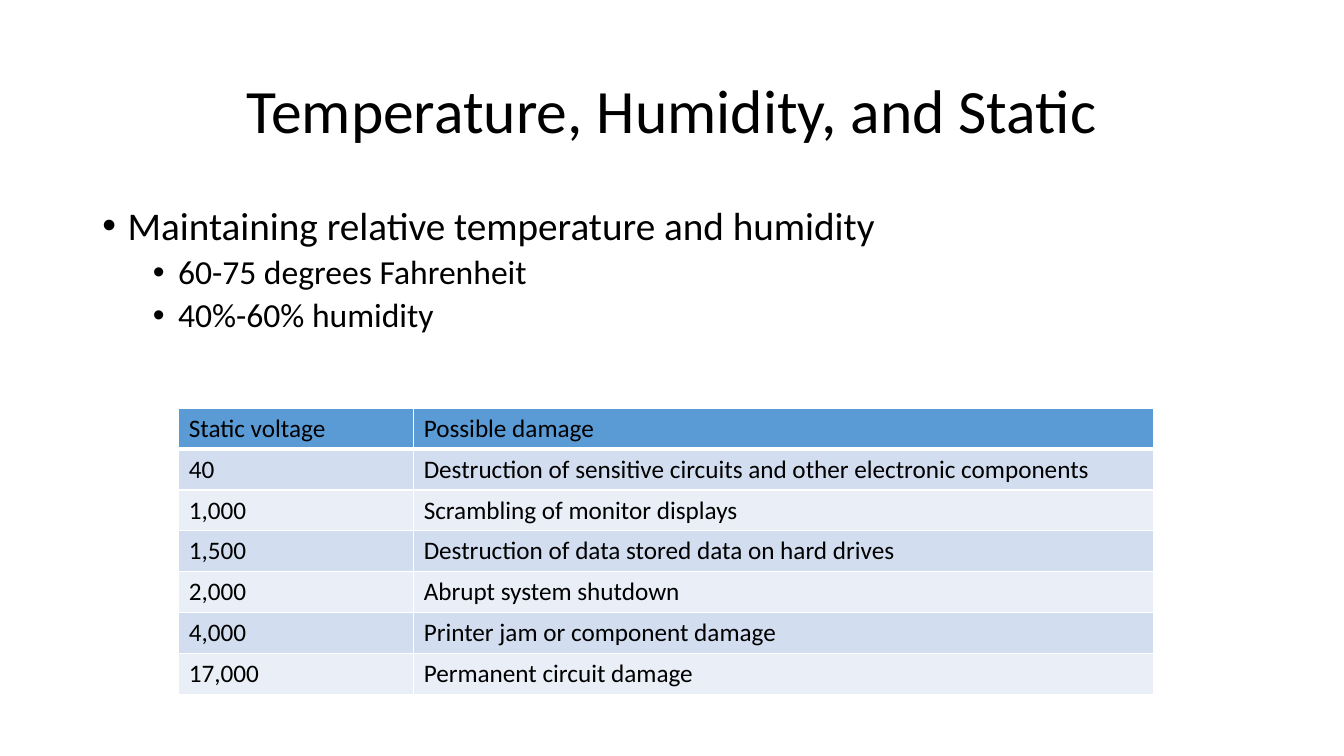
import pptx
import pptx.util
import pptx.dml.color
import pptx.enum.text
import pptx.oxml.ns
import lxml.etree

Pt = pptx.util.Pt
FONT, BLACK, WHITE = "Calibri", "000000", "FFFFFF"
HEAD, BANDS = "5B9BD5", ("D2DEEF", "EAEFF7")
TITLE = "Temperature, Humidity, and Static"
POINTS = [
    ("Maintaining relative temperature and humidity", 0),
    ("60-75 degrees Fahrenheit", 1),
    ("40%-60% humidity", 1),
]
# level: left margin, font size, space before
LEVELS = {0: (18, 28, 10), 1: (54, 24, 5)}
DAMAGE = [
    ("Static voltage", "Possible damage"),
    ("40", "Destruction of sensitive circuits and other electronic components"),
    ("1,000", "Scrambling of monitor displays"),
    ("1,500", "Destruction of data stored data on hard drives"),
    ("2,000", "Abrupt system shutdown"),
    ("4,000", "Printer jam or component damage"),
    ("17,000", "Permanent circuit damage"),
]


def color(code):
    return pptx.dml.color.RGBColor.from_string(code)


def apply(target, values):
    for name, value in values.items():
        setattr(target, name, value)


def place(shape, left, top, width, height):
    apply(shape, {"left": Pt(left), "top": Pt(top),
                  "width": Pt(width), "height": Pt(height)})


def node(parent, tag, **attrs):
    """Append a DrawingML element to parent."""
    item = lxml.etree.SubElement(parent, pptx.oxml.ns.qn("a:" + tag))
    for name, value in attrs.items():
        item.set(name, str(value))
    return item


def write(para, text, size):
    run = para.add_run()
    run.text = text
    apply(run.font, {"name": FONT, "size": Pt(size), "bold": False})
    run.font.color.rgb = color(BLACK)


def add_title(slide):
    title = slide.shapes.title
    place(title, 66, 28.75, 828, 104.4)
    apply(title.text_frame, {
        "auto_size": pptx.enum.text.MSO_AUTO_SIZE.NONE,
        "vertical_anchor": pptx.enum.text.MSO_ANCHOR.MIDDLE})
    para = title.text_frame.paragraphs[0]
    apply(para, {"alignment": pptx.enum.text.PP_ALIGN.CENTER,
                 "line_spacing": 0.9})
    write(para, TITLE, 44)


def add_list(slide):
    body = slide.placeholders[1]
    place(body, 66, 143.75, 828, 342.6)
    frame = body.text_frame
    frame.auto_size = pptx.enum.text.MSO_AUTO_SIZE.NONE
    for index, (text, level) in enumerate(POINTS):
        para = frame.add_paragraph() if index else frame.paragraphs[0]
        margin, size, space = LEVELS[level]
        props = para._p.get_or_add_pPr()
        props.set("marL", str(Pt(margin)))
        props.set("indent", str(Pt(-18)))
        node(props, "buFont", typeface="Arial")
        node(props, "buChar", char="•")
        apply(para, {"level": level, "line_spacing": 0.9,
                     "space_before": Pt(space if index else 0)})
        write(para, text, size)


def border(cell, **widths):
    props = cell._tc.get_or_add_tcPr()
    for side, width in widths.items():
        line = node(props, "ln" + side, w=Pt(width))
        node(node(line, "solidFill"), "srgbClr", val=WHITE)


def add_table(slide):
    high = 29.2
    table = slide.shapes.add_table(
        len(DAMAGE), 2, Pt(127.7), Pt(291.6),
        Pt(696.4), Pt(high * len(DAMAGE))).table
    for column, width in zip(table.columns, (167.8, 528.6)):
        column.width = Pt(width)
    for index, texts in enumerate(DAMAGE):
        table.rows[index].height = Pt(high)
        fill = BANDS[(index - 1) % 2] if index else HEAD
        for cell, text in zip(table.rows[index].cells, texts):
            border(cell, L=1, R=1, T=3 if index == 1 else 1,
                   B=1 if index else 3)
            cell.fill.solid()
            cell.fill.fore_color.rgb = color(fill)
            write(cell.text_frame.paragraphs[0], text, 18)


def main():
    deck = pptx.Presentation()
    apply(deck, {"slide_width": Pt(960), "slide_height": Pt(540)})
    slide = deck.slides.add_slide(deck.slide_layouts[1])
    add_title(slide)
    add_list(slide)
    add_table(slide)
    deck.save("out.pptx")


if __name__ == "__main__":
    main()
